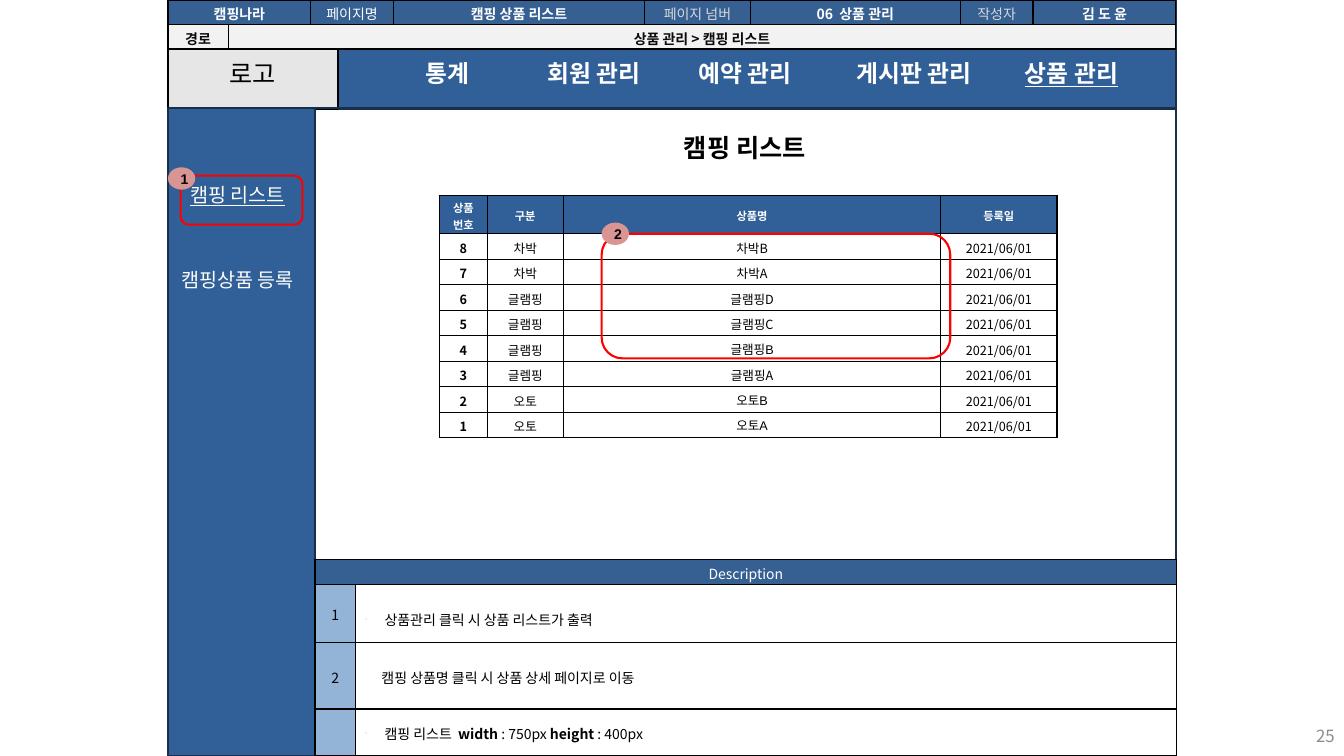
"""Build the admin storyboard slide for the camping product list."""
from dataclasses import dataclass

from lxml import etree
from pptx import Presentation
from pptx import util as u
from pptx.dml.color import RGBColor
from pptx.enum import shapes, text
from pptx.oxml import ns


@dataclass(frozen=True)
class Theme:
    """Colours, fonts and type sizes of the storyboard."""
    navy: str = "315F97"
    header: str = "366092"
    edge: str = "182F4B"
    black: str = "000000"
    ink: str = "0C0C0C"
    white: str = "FFFFFF"
    menu: str = "FCFCF9"
    muted: str = "D8D8D8"
    pale: str = "F2F2F2"
    logo: str = "E6E6E6"
    sky: str = "93B3D7"
    red: str = "FF0000"
    pink: str = "D99593"
    grey: str = "8C8C8C"
    sans: str = "Noto Sans CJK KR"
    latin: str = "Arial"
    title: int = 18
    nav: int = 17
    side: int = 14
    page: int = 12
    body: int = 10
    row: int = 9
    head: int = 8


T = Theme()
ALIGN = text.PP_ALIGN
ANCHOR = text.MSO_ANCHOR
SHAPE = shapes.MSO_SHAPE


def points(*values):
    """Convert numbers to point lengths."""
    return [u.Pt(value) for value in values]


def apply(target, formats):
    """Set every attribute in a dict of format values."""
    for name, value in formats.items():
        setattr(target, name, value)


def write(frame, words, color=T.black, align=ALIGN.CENTER, font=T.sans, **formats):
    """Write one paragraph; words is a string or a list of (string, bold)."""
    paragraph = frame.paragraphs[0]
    paragraph.alignment = align
    pieces = [(words, formats.get("bold", False))] if isinstance(words, str) else words
    for piece, bold in pieces:
        run = paragraph.add_run()
        run.text = piece
        apply(run.font, {"name": font, **formats, "bold": bold})
        run.font.color.rgb = RGBColor.from_string(color)
        east = etree.SubElement(run.font._element, ns.qn("a:ea"))
        east.set("typeface", font)
    return paragraph


def add_block(slide, kind, box, fill=None, line=None):
    """Add a preset shape with an optional fill and outline."""
    block = slide.shapes.add_shape(kind, *points(*box))
    block.shadow.inherit = False
    for paint, color in ((block.fill, fill), (block.line.fill, line)):
        if color:
            paint.solid()
            paint.fore_color.rgb = RGBColor.from_string(color)
        else:
            paint.background()
    if line:
        block.line.width = u.Pt(1.5)
    return block


def add_label(slide, words, box, wrap=False, align=ALIGN.LEFT, **formats):
    """Add a vertically centred text box."""
    frame = slide.shapes.add_textbox(*points(*box)).text_frame
    apply(frame, {"word_wrap": wrap, "vertical_anchor": ANCHOR.MIDDLE})
    write(frame, words, align=align, **formats)


def add_marker(slide, number, area, badge):
    """Outline an area in red and put its numbered badge on it."""
    add_block(slide, SHAPE.ROUNDED_RECTANGLE, area, line=T.red)
    frame = add_block(slide, SHAPE.OVAL, (*badge, 19.5, 16), T.pink).text_frame
    apply(frame, {"margin_left": u.Pt(4), "margin_right": 0, "margin_top": 0,
                  "margin_bottom": 0, "word_wrap": False,
                  "vertical_anchor": ANCHOR.MIDDLE})
    write(frame, number, font=T.latin, size=u.Pt(T.body), bold=True)


def add_grid(slide, left, top, widths, heights):
    """Add a plain table with thin black borders."""
    grid = slide.shapes.add_table(len(heights), len(widths), *points(
        left, top, sum(widths), sum(heights))).table
    apply(grid, {"first_row": False, "horz_banding": False})
    for column, width in zip(grid.columns, widths):
        column.width = u.Pt(width)
    for row, height in zip(grid.rows, heights):
        row.height = u.Pt(height)
    for cell in grid.iter_cells():
        apply(cell, {"margin_top": u.Pt(2.5), "margin_bottom": u.Pt(0.5),
                     "vertical_anchor": ANCHOR.MIDDLE})
        cell.fill.background()
        for index, side in enumerate(("lnL", "lnR", "lnT", "lnB")):
            border = etree.Element(ns.qn(f"a:{side}"), w=str(u.Pt(1)))
            paint = etree.SubElement(border, ns.qn("a:solidFill"))
            etree.SubElement(paint, ns.qn("a:srgbClr"), val=T.black)
            cell._tc.tcPr.insert(index, border)
    return grid


def fill_cell(cell, words, fill=None, **formats):
    """Write a table cell and paint its background."""
    if fill:
        cell.fill.solid()
        cell.fill.fore_color.rgb = RGBColor.from_string(fill)
    return write(cell.text_frame, words, **formats)


def set_bullet(paragraph):
    """Give a paragraph a hanging indent and a small dash."""
    props = paragraph._p.get_or_add_pPr()
    for name, value in (("marL", u.Pt(13.5)), ("indent", u.Pt(-13.5))):
        props.set(name, str(value))
    color = etree.SubElement(props, ns.qn("a:buClr"))
    etree.SubElement(color, ns.qn("a:srgbClr"), val=T.black)
    etree.SubElement(props, ns.qn("a:buSzPct"), val="25000")
    etree.SubElement(props, ns.qn("a:buChar"), char="-")


def add_page_frame(slide):
    """Draw the page outline, logo area, navigation bar and side bar."""
    add_block(slide, SHAPE.RECTANGLE, (120, 0, 720, 540), line=T.edge)
    add_block(slide, SHAPE.RECTANGLE, (120, 35, 720, 42.5), T.navy, T.edge)
    logo = add_block(slide, SHAPE.RECTANGLE, (120, 0, 121.5, 78), T.logo, T.black)
    apply(logo.text_frame, {"vertical_anchor": ANCHOR.BOTTOM, "margin_bottom": u.Pt(15)})
    write(logo.text_frame, "로고", size=u.Pt(T.title))
    add_block(slide, SHAPE.RECTANGLE, (120, 77, 105, 463), T.navy, T.edge)
    add_block(slide, SHAPE.RECTANGLE, (225, 77, 615, 463), line=T.edge)


def add_menus(slide):
    """Write the navigation and side menus, underlining the current entries."""
    for entry, left, width in (("통계", 296.6, 48), ("회원 관리", 383.8, 85),
                               ("예약 관리", 491.8, 85.7), ("게시판 관리", 604.8, 101.5),
                               ("상품 관리", 725, 85)):
        add_label(slide, entry, (left, 38.5, width, 28), color=T.white, size=u.Pt(T.nav),
                  bold=True, underline=entry == "상품 관리")
    for entry, left, top, width in (("캠핑 리스트", 128.9, 127.4, 86.4),
                                    ("캠핑상품 등록", 122.4, 188, 100)):
        add_label(slide, entry, (left, top, width, 23), color=T.menu, size=u.Pt(T.side),
                  underline=entry == "캠핑 리스트")


def add_page_info(slide):
    """Add the page information table along the top."""
    grid = add_grid(slide, 120, 0, (43, 59, 59, 179.5, 75.5, 150, 52, 102), (17.5, 17.5))
    grid.cell(0, 0).merge(grid.cell(0, 1))
    grid.cell(1, 1).merge(grid.cell(1, 7))
    for column, words, color, bold in (
            (0, "캠핑나라", T.white, True), (2, "페이지명", T.white, False),
            (3, "캠핑 상품 리스트", T.white, True), (4, "페이지 넘버", T.muted, False),
            (5, "06  상품 관리", T.white, True), (6, "작성자", T.muted, False),
            (7, "김 도 윤", T.white, True)):
        fill_cell(grid.cell(0, column), words, T.header, color=color,
                  size=u.Pt(T.body), bold=bold)
    for column, words in enumerate(("경로", "상품 관리 > 캠핑 리스트")):
        fill_cell(grid.cell(1, column), words, T.pale, color=T.ink,
                  size=u.Pt(T.body), bold=True)


def add_products(slide):
    """Add the camping product table."""
    products = (("차박", "차박B"), ("차박", "차박A"), ("글램핑", "글램핑D"),
                ("글램핑", "글램핑C"), ("글램핑", "글램핑B"), ("글렘핑", "글램핑A"),
                ("오토", "오토B"), ("오토", "오토A"))
    grid = add_grid(slide, 314, 139.5, (34, 54.5, 269.5, 83), [27.5] + [18.2] * 8)
    for column, words in enumerate(("상품번호", "구분", "상품명", "등록일")):
        fill_cell(grid.cell(0, column), words, T.navy, color=T.white,
                  size=u.Pt(T.head), bold=True)
    for row, (kind, product) in enumerate(products, 1):
        number = str(len(products) + 1 - row)
        for column, words in enumerate((number, kind, product, "2021/06/01")):
            arial = words in ("글램핑B", "오토B", "오토A")
            fill_cell(grid.cell(row, column), words, size=u.Pt(T.row),
                      bold=column == 0, font=T.latin if arial else T.sans)


def add_description(slide):
    """Add the description table at the bottom."""
    grid = add_grid(slide, 225, 399.5, (29, 586.5), (18, 41.5, 47.5, 33.5))
    grid.cell(0, 0).merge(grid.cell(0, 1))
    fill_cell(grid.cell(0, 0), "Description", T.header, color=T.white, size=u.Pt(T.body))
    size = [("캠핑 리스트  ", False), ("width ", True), (": 750px ", False),
            ("height ", True), (": 400px", False)]
    for row, (number, words) in enumerate((("1", "상품관리 클릭 시 상품 리스트가 출력"),
                                           ("2", "캠핑 상품명 클릭 시 상품 상세 페이지로 이동"),
                                           ("", size)), 1):
        fill_cell(grid.cell(row, 0), number, T.sky, size=u.Pt(T.body))
        note = fill_cell(grid.cell(row, 1), words, T.white, align=ALIGN.LEFT,
                         size=u.Pt(T.body))
        if number == "2":
            grid.cell(row, 1).margin_left = u.Pt(18.5)
        else:
            set_bullet(note)
    grid.cell(1, 1).margin_top = u.Pt(9)


def main():
    """Build and save the slide."""
    deck = Presentation()
    apply(deck, {"slide_width": u.Pt(960), "slide_height": u.Pt(540)})
    slide = deck.slides.add_slide(deck.slide_layouts[6])
    add_page_frame(slide)
    add_marker(slide, "1", (129, 125.5, 87, 35), (120, 119.5))
    add_menus(slide)
    add_description(slide)
    add_products(slide)
    add_marker(slide, "2", (429.8, 167, 249, 89), (429.8, 159))
    add_page_info(slide)
    add_label(slide, "25", (736.5, 511, 224, 29), True, ALIGN.RIGHT, color=T.grey,
              size=u.Pt(T.page))
    add_label(slide, "캠핑 리스트", (436, 91.5, 192, 28), True, ALIGN.CENTER,
              size=u.Pt(T.title), bold=True)
    deck.save("out.pptx")


main()
